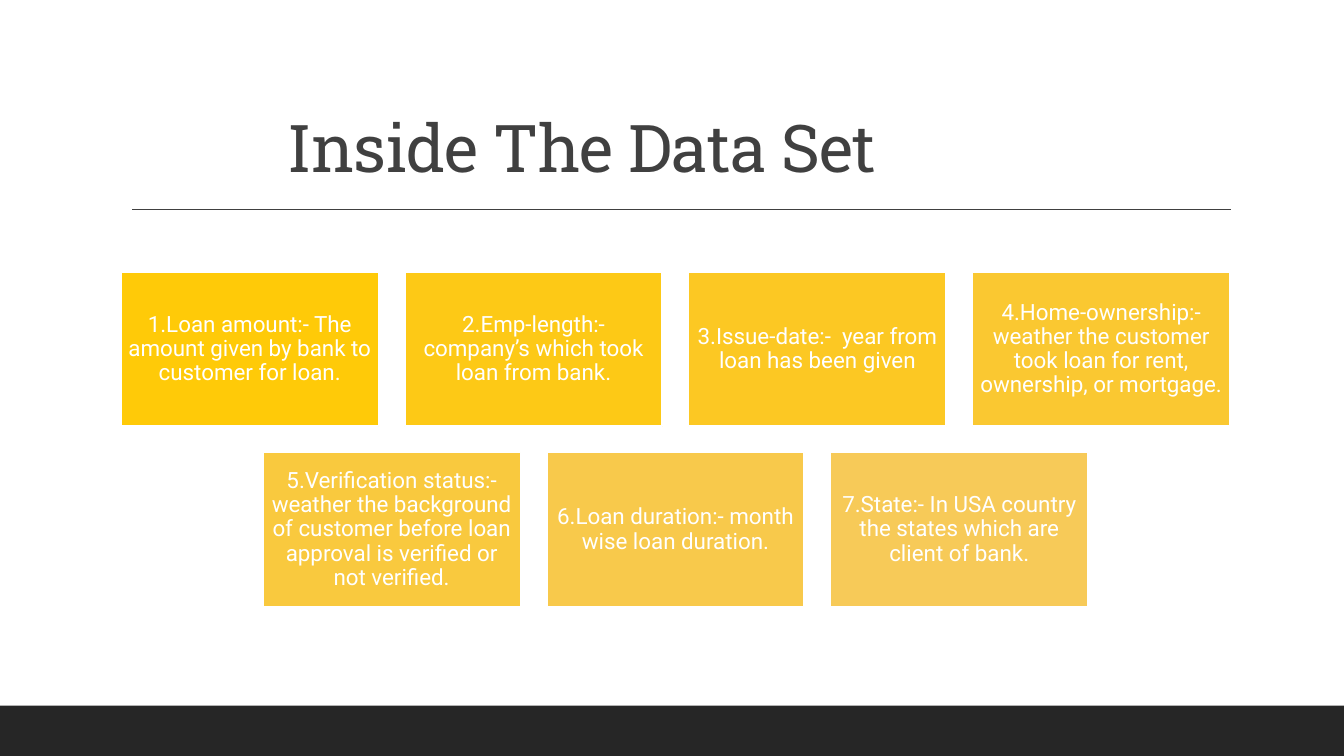
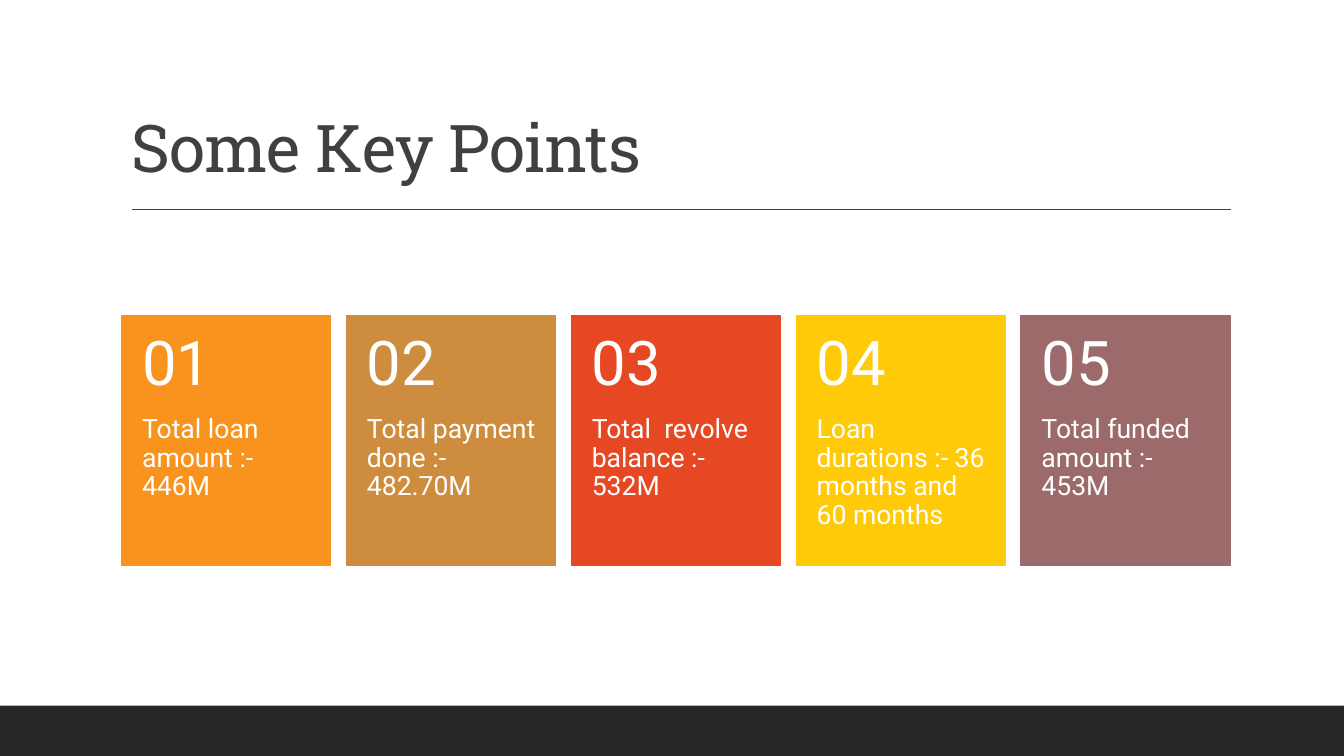
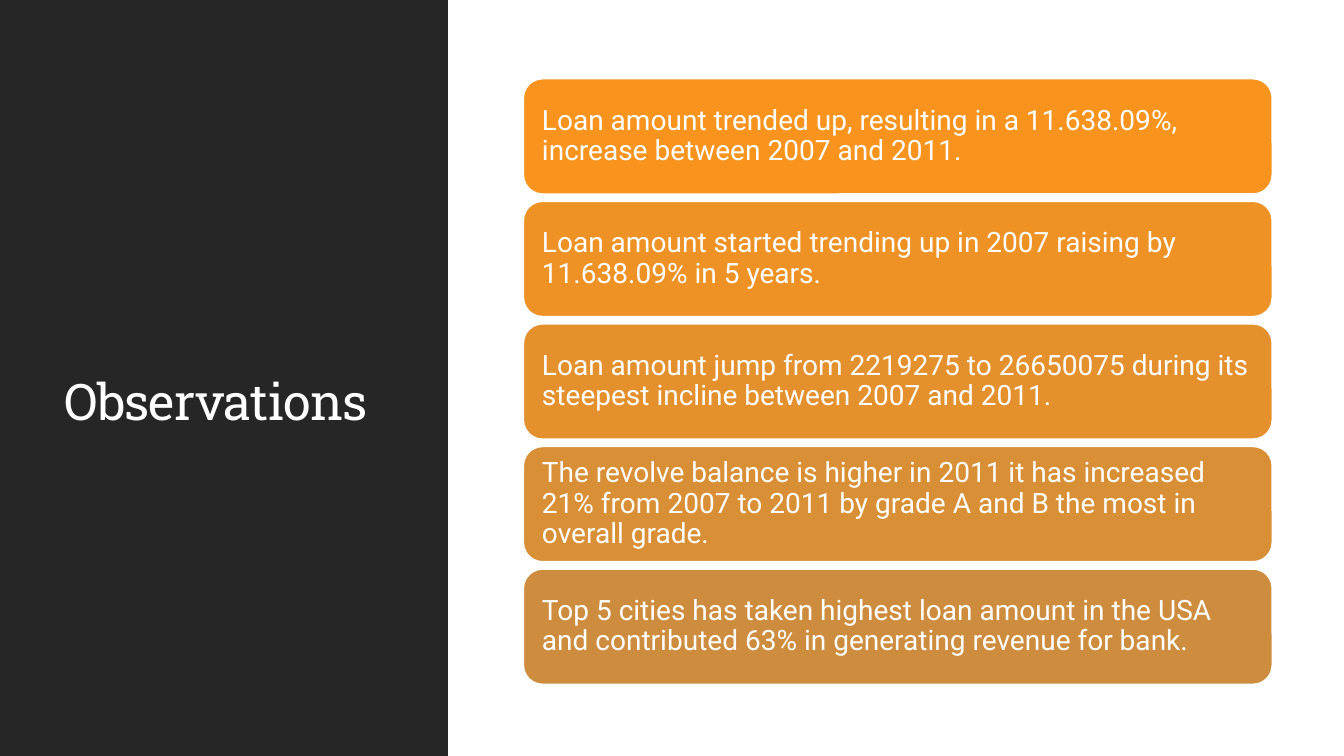
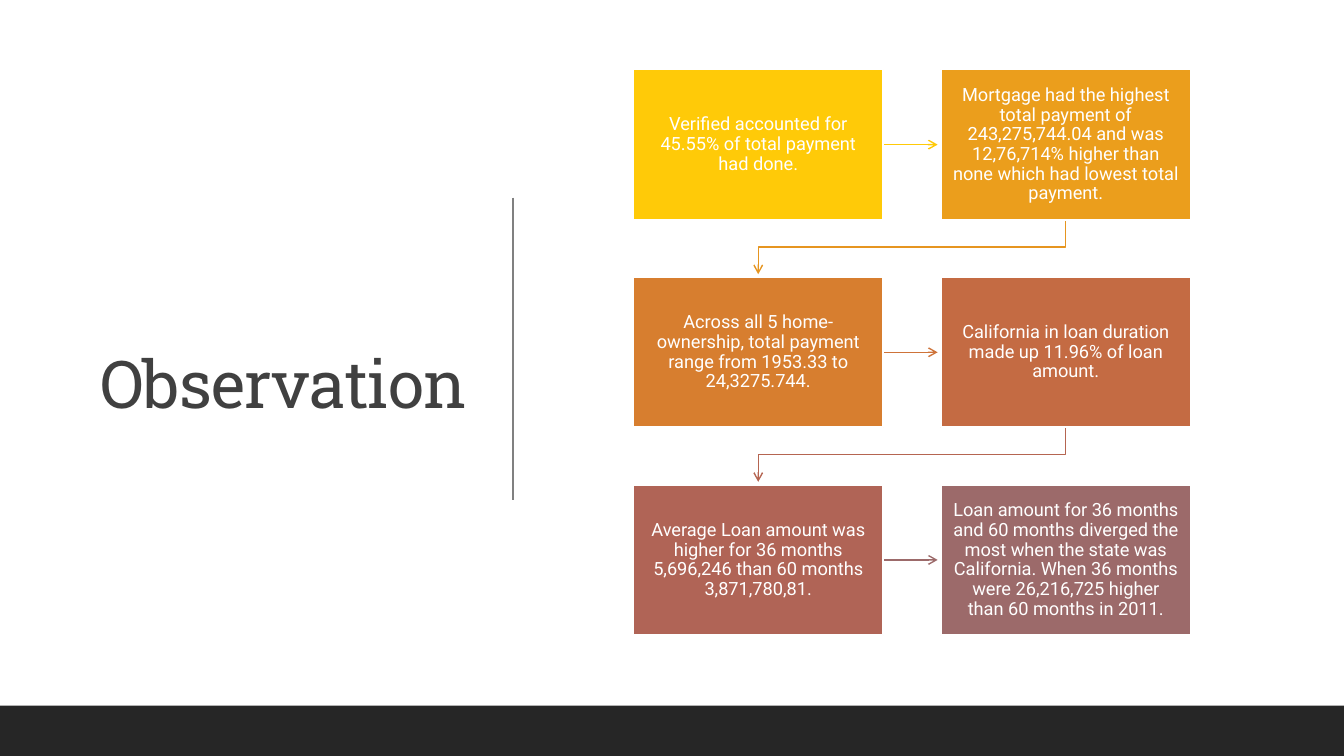
from pptx import Presentation
from pptx.dml.color import RGBColor
from pptx.enum.shapes import MSO_CONNECTOR as LINK, MSO_SHAPE as SHAPE
from pptx.enum.text import MSO_ANCHOR as ANCHOR, MSO_AUTO_SIZE as AUTO, PP_ALIGN as ALIGN
from pptx.oxml.ns import qn
from pptx.util import Inches, Pt
from lxml.etree import SubElement

WIDE, HIGH = 13.33, 7.5
WHITE, DARK, GRAY, RULE = "FFFFFF", "262626", "404040", "808080"
GOLD, AMBER, TAN, RED, MAUVE = "FFCA08", "F8931D", "CE8D3E", "E64823", "9C6A6A"
HEAD, BODY = "Roboto Slab", "Roboto"

FIELDS = [
    ("1.Loan amount:- The amount given by bank to customer for loan.", GOLD),
    ("2.Emp-length:- company’s which took loan from bank.", "FDC916"),
    ("3.Issue-date:-  year from loan has been given", "FCC823"),
    ("4.Home-ownership:- weather the customer took loan for rent, ownership, or mortgage.", "FAC831"),
    ("5.Verification status:- weather the background of customer before loan approval is verified or not verified.", "F9C93E"),
    ("6.Loan duration:- month wise loan duration.", "F8C94B"),
    ("7.State:- In USA country the states which are client of bank.", "F7CA58"),
]
POINTS = [
    ("Total loan amount :- 446M", AMBER),
    ("Total payment done :- 482.70M", TAN),
    ("Total  revolve balance :- 532M", RED),
    ("Loan durations :- 36 months and 60 months", GOLD),
    ("Total funded amount :- 453M", MAUVE),
]
TRENDS = [
    ("Loan amount trended up, resulting in a 11.638.09%, increase between 2007 and 2011.", AMBER),
    ("Loan amount started trending up in 2007 raising by 11.638.09% in 5 years.", "EE9225"),
    ("Loan amount jump from 2219275 to 26650075 during its steepest incline between 2007 and 2011.", "E3902D"),
    ("The revolve balance is higher in 2011 it has increased 21% from 2007 to 2011 by grade A and B the most in overall grade.", "D98F35"),
    ("Top 5 cities has taken highest loan amount in the USA and contributed 63% in generating revenue for bank.", TAN),
]
STEPS = [
    ("Verified accounted for 45.55% of total payment had done.", GOLD),
    ("Mortgage had the highest total payment of 243,275,744.04 and was 12,76,714% higher than none which had lowest total payment.", "EB9E1C"),
    ("Across all 5 home-ownership, total payment range from 1953.33 to 24,3275.744.", "D77E2F"),
    ("California in loan duration made up 11.96% of loan amount.", "C46B43"),
    ("Average Loan amount was higher for 36 months 5,696,246 than 60 months 3,871,780,81.", "B06456"),
    ("Loan amount for 36 months and 60 months diverged the most when the state was California. When 36 months were 26,216,725 higher than 60 months in 2011.", MAUVE),
]
LINKS = [GOLD, "E69520", "CE7339", "B56551", MAUVE]


def paint(color):
    return RGBColor.from_string(color)


def grid(box, cols, rows, gap):
    left, top, width, height = box
    w = (width - gap * (cols - 1)) / cols
    h = (height - gap * (rows - 1)) / rows
    return [(left + c * (w + gap), top + r * (h + gap), w, h)
            for r in range(rows) for c in range(cols)]


def write(shape, text, size=16, font=BODY, color=WHITE, align=ALIGN.LEFT,
          anchor=ANCHOR.MIDDLE, inset=(0.1, 0.05, 0.1, 0.05), space=0):
    frame = shape.text_frame
    frame.word_wrap, frame.auto_size = True, AUTO.NONE
    frame.vertical_anchor = anchor
    (frame.margin_left, frame.margin_top,
     frame.margin_right, frame.margin_bottom) = map(Inches, inset)
    para = frame.paragraphs[0]
    para.alignment, para.line_spacing = align, 0.9
    run = para.add_run()
    run.text = text
    run.font.size, run.font.name = Pt(size), font
    run.font.color.rgb = paint(color)
    if space:
        run.font._element.set("spc", str(int(space * 100)))


def block(slide, box, fill, edge=None, kind=SHAPE.RECTANGLE):
    shape = slide.shapes.add_shape(kind, *map(Inches, box))
    shape.shadow.inherit = False
    shape.fill.solid()
    shape.fill.fore_color.rgb = paint(fill)
    if edge:
        shape.line.color.rgb = paint(edge)
        shape.line.width = Pt(1.25)
    else:
        shape.line.fill.background()
    return shape


def join(slide, start, end, color, arrow=False, kind=LINK.STRAIGHT):
    line = slide.shapes.add_connector(kind, *map(Inches, start + end))
    line.line.color.rgb = paint(color)
    line.line.width = Pt(1)
    props = line._element.spPr
    if arrow:
        SubElement(props.find(qn("a:ln")), qn("a:tailEnd"), type="arrow")
    SubElement(props, qn("a:effectLst"))
    return line


def bend(slide, start, end, color):
    (x1, y1), (x2, y2) = start, end
    midx, midy = (x1 + x2) / 2, (y1 + y2) / 2
    dx, dy = (y2 - y1) / 2, (x1 - x2) / 2
    line = join(slide, (midx - dx, midy - dy), (midx + dx, midy + dy), color, True, LINK.ELBOW)
    line._element.spPr.find(qn("a:xfrm")).set("rot", "5400000")


def start(deck, title, box, band=True, **form):
    slide = deck.slides.add_slide(deck.slide_layouts[5])
    if band:
        block(slide, (0, 7, WIDE, 0.5), DARK)
    else:
        block(slide, (0, 0, WIDE / 3, HIGH), DARK)
    head = slide.shapes.title
    head.left, head.top, head.width, head.height = map(Inches, box)
    slide.shapes._spTree.append(head._element)
    write(head, title, **{"size": 47, "font": HEAD, "color": GRAY, "space": -0.5, **form})
    return slide


def ruled(deck, title, indent=0.1):
    slide = start(deck, title, (1.2, 0.31, 11, 1.59), anchor=ANCHOR.BOTTOM,
                  inset=(indent, 0.05, 0.1, 0.05))
    join(slide, (1.31, 2.08), (12.21, 2.08), GRAY)
    return slide


def tiles(slide, box, items, cols=4, gap=0.26):
    cells = grid(box, cols, 2, gap)
    short = 2 * cols - len(items)
    for i, ((text, color), (x, y, w, h)) in enumerate(zip(items, cells)):
        shift = short * (w + gap) / 2 if i >= cols else 0
        tile = block(slide, (x + shift, y, w, h), color, WHITE)
        write(tile, text, align=ALIGN.CENTER, inset=(0.07,) * 4)


def cards(slide, box, items):
    for i, ((text, color), cell) in enumerate(zip(items, grid(box, len(items), 1, 0.16)), 1):
        x, y, w, h = cell
        top = h * 0.4
        write(block(slide, cell, color, color), text, size=19, anchor=ANCHOR.TOP,
              inset=(0.2, top, 0.2, 0))
        label = slide.shapes.add_textbox(*map(Inches, (x, y, w, top)))
        write(label, f"{i:02}", size=44, inset=(0.2, 0.18, 0.2, 0.18))


def bars(slide, box, items):
    for (text, color), cell in zip(items, grid(box, 1, len(items), 0.07)):
        bar = block(slide, cell, color, WHITE, SHAPE.ROUNDED_RECTANGLE)
        write(bar, text, size=20, inset=(0.13,) * 4)


def flow(slide, box, items, gap=0.57):
    cells = grid(box, 2, len(items) // 2, gap)
    reach = gap - 0.03
    for i, color in enumerate(LINKS):
        x, y, w, h = cells[i]
        if i % 2:
            foot = y + h
            bend(slide, (x + w / 2, foot), (cells[i + 1][0] + w / 2, foot + reach), color)
        else:
            side, mid = x + w, y + h / 2
            join(slide, (side, mid), (side + reach, mid), color, True)
    for (text, color), cell in zip(items, cells):
        write(block(slide, cell, color, WHITE), text, size=13, align=ALIGN.CENTER,
              inset=(0.12, 0.13, 0.12, 0.13))


def main():
    deck = Presentation()
    deck.slide_width, deck.slide_height = Inches(WIDE), Inches(HIGH)

    tiles(ruled(deck, "Inside The Data Set", 1.65), (1.2, 2.7, 11, 3.32), FIELDS)
    cards(ruled(deck, "Some Key Points"), (1.21, 3.13, 10.99, 2.48), POINTS)

    slide = start(deck, "Observations", (0.54, 0.86, 3.37, 6.31), band=False,
                  size=36, color=WHITE)
    bars(slide, (5.19, 0.78, 7.43, 6.01), TRENDS)

    slide = start(deck, "Observation", (0.7, 1.08, 4.03, 5.53), align=ALIGN.RIGHT)
    join(slide, (5.09, 1.96), (5.09, 4.96), RULE)
    flow(slide, (6.28, 0.69, 5.53, 5.61), STEPS)

    deck.save("out.pptx")


if __name__ == "__main__":
    main()
